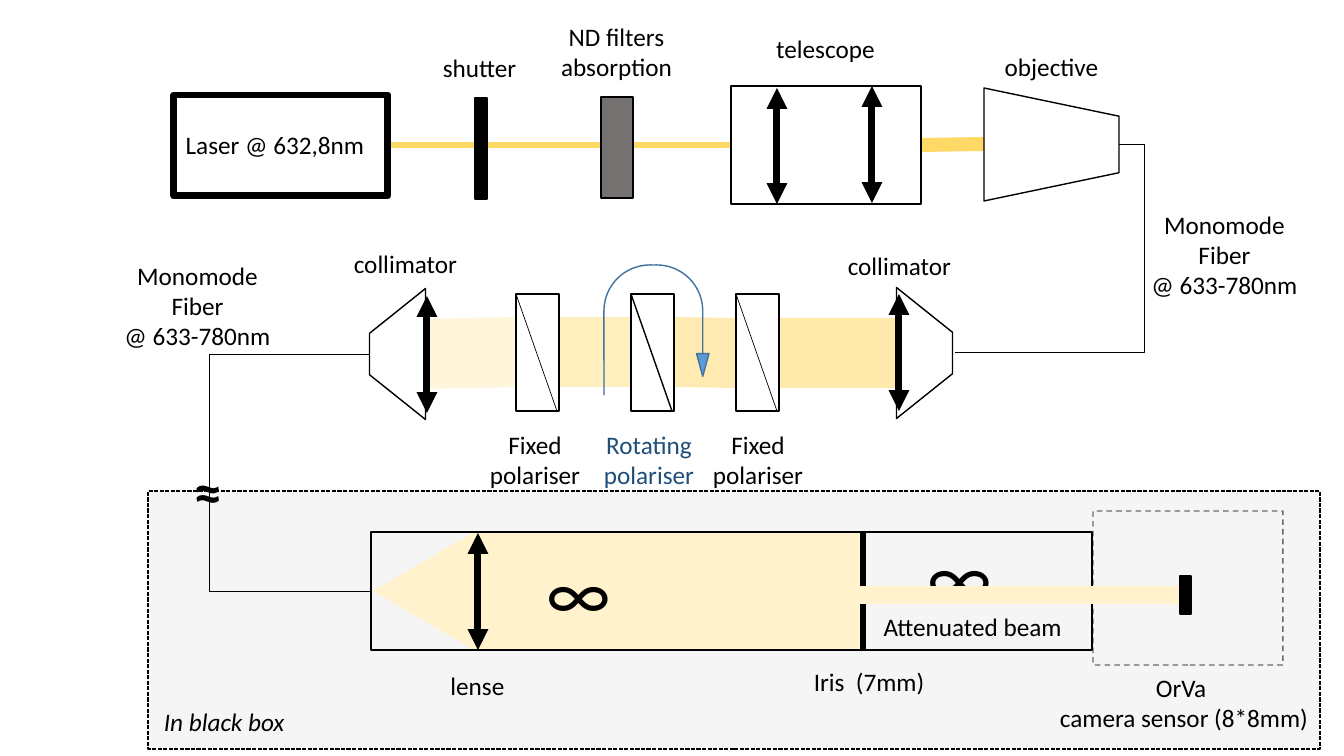
import pptx
import pptx.util
import pptx.dml.color
import pptx.enum.dml
import pptx.enum.shapes
import pptx.enum.text
import pptx.oxml.ns
from lxml import etree

EMU_PER_PIXEL = 914400 / 100.8
COLOURS = {
    "black": "000000",
    "white": "FFFFFF",
    "grey": "767171",
    "laser": "FFD966",
    "pale": "FFF2CC",
    "blue": "5B9BD5",
    "blue edge": "43739E",
    "blue text": "1F4E79",
}
PRESET = pptx.enum.shapes.MSO_SHAPE
LINK = pptx.enum.shapes.MSO_CONNECTOR
DASH = pptx.enum.dml.MSO_LINE
ALIGN = pptx.enum.text.PP_ALIGN


def px(*lengths):
    return [round(length * EMU_PER_PIXEL) for length in lengths]


def add_xml(parent, tag, **values):
    child = etree.SubElement(parent, pptx.oxml.ns.qn(tag))
    for name, value in values.items():
        child.set(name, str(value))
    return child


def paint(fill, colour, opacity=100):
    """Fill with a named colour, or with nothing."""
    if colour is None:
        fill.background()
        return
    fill.solid()
    fill.fore_color.rgb = pptx.dml.color.RGBColor.from_string(COLOURS[colour])
    if opacity < 100:
        for node in fill._xPr.iter(pptx.oxml.ns.qn("a:srgbClr")):
            add_xml(node, "a:alpha", val=opacity * 1000)


def outline(item, colour, width, dash=None, opacity=100):
    item.line.width = pptx.util.Pt(width)
    paint(item.line.fill, colour, opacity)
    if dash:
        item.line.dash_style = dash


def add_block(shapes, area, fill=None, edge="black", width=1, preset=PRESET.RECTANGLE,
              opacity=100, dash=None, edge_opacity=100, rotation=0, adjust=()):
    block = shapes.add_shape(preset, *px(*area))
    block.shadow.inherit = False
    block.rotation = rotation
    for index, value in enumerate(adjust):
        block.adjustments[index] = value
    paint(block.fill, fill, opacity)
    outline(block, edge, width, dash, edge_opacity)


def add_line(shapes, start, end, colour="black", width=1, opacity=100, kind=LINK.STRAIGHT):
    line = shapes.add_connector(kind, *px(*start, *end))
    outline(line, colour, width, opacity=opacity)
    add_xml(line._element.spPr, "a:effectLst")
    return line


def add_lens(shapes, x, top, bottom):
    """A thin lens: a thick line with an arrowhead at both ends."""
    lens = add_line(shapes, (x, top), (x, bottom), width=5)
    for tag in ("a:headEnd", "a:tailEnd"):
        add_xml(lens.line._get_or_add_ln(), tag, type="triangle")


def add_fiber(shapes, start, end, turn):
    """An elbow that runs sideways to x = turn before it comes back."""
    fiber = add_line(shapes, start, end, width=0.5, kind=LINK.ELBOW)
    bend = round((turn - start[0]) / (end[0] - start[0]) * 100000)
    guides = fiber._element.spPr.find(".//" + pptx.oxml.ns.qn("a:avLst"))
    add_xml(guides, "a:gd", name="adj1", fmla=f"val {bend}")


def add_polariser(shapes, x, slant_width):
    parts = shapes.add_group_shape().shapes
    add_block(parts, (x, 294, 43, 117))
    add_line(parts, (x, 294), (x + 41, 411), width=slant_width)


def add_label(shapes, area, text, align=ALIGN.CENTER, colour="black", size=18, **styles):
    box = shapes.add_textbox(*px(*area))
    box.text_frame.word_wrap = True
    styles = {"name": "Calibri", "size": pptx.util.Pt(size), **styles}
    for index, words in enumerate(text.split("\n")):
        para = box.text_frame.paragraphs[0] if index == 0 else box.text_frame.add_paragraph()
        para.alignment = align
        span = para.add_run()
        span.text = words
        for name, value in styles.items():
            setattr(span.font, name, value)
        paint(span.font.fill, colour)


def draw_beams(shapes):
    for start, end, opacity in (
        ((674, 352), (736, 353), 50),
        ((559, 352), (631, 352), 42),
        ((425, 354), (516, 352), 24),
        ((779, 353), (896, 353), 55),
    ):
        add_line(shapes, start, end, "laser", 50, opacity)
    add_line(shapes, (388, 145), (731, 145), "laser", 4)
    add_line(shapes, (920, 145), (984, 144), "laser", 10)


def draw_source_row(shapes):
    add_block(shapes, (174, 95, 214, 101), width=5)
    add_label(shapes, (168, 124, 214, 40), "Laser @ 632,8nm")
    add_block(shapes, (475, 98, 12, 101), "black")
    add_block(shapes, (601, 97, 32, 101), "grey")
    add_label(shapes, (549, 16, 135, 72), "ND filters absorption")
    add_block(shapes, (731, 86, 190, 118), "white")
    add_lens(shapes, 777, 88, 204)
    add_lens(shapes, 872, 86, 203)
    add_block(shapes, (995, 77, 113, 135), preset=PRESET.TRAPEZOID, rotation=90)
    for x, y, text in ((412, 47, "shutter"), (758, 28, "telescope"), (984, 46, "objective")):
        add_label(shapes, (x, y, 135, 40), text)


def draw_polariser_row(shapes):
    add_fiber(shapes, (1119, 144), (955, 352), 1144)
    # Collimators and fiber names
    for lens_x, lens_top, body_x, body_y, turn, name_x, name_y in (
        (899, 294, 859, 325, 90, 832, 245),
        (427, 296, 332, 326, 270, 338, 243),
    ):
        add_lens(shapes, lens_x, lens_top, lens_top + 117)
        add_block(shapes, (body_x, body_y, 131, 56), preset=PRESET.TRAPEZOID,
                  rotation=turn, adjust=(0.8,))
        add_label(shapes, (name_x, name_y, 135, 40), "collimator")
    for x, y in ((1136, 204), (109, 255)):
        add_label(shapes, (x, y, 177, 102), "Monomode\nFiber\n@ 633-780nm")
    # Polarisers
    for x, slant_width, name_x, text, colour in (
        (736, 0.5, 695, "Fixed polariser", "black"),
        (631, 1, 586, "Rotating\npolariser", "blue text"),
        (516, 0.5, 472, "Fixed polariser", "black"),
    ):
        add_polariser(shapes, x, slant_width)
        add_label(shapes, (name_x, 424, 126, 72), text, colour=colour)
    add_block(shapes, (604, 265, 105, 130), "blue", "blue edge", preset=PRESET.U_TURN_ARROW,
              adjust=(0, 0.059, 0.217, 0.438, 0.857))


def draw_black_box(shapes):
    add_fiber(shapes, (371, 591), (369, 354), 208)
    # Tube with lens and iris
    add_block(shapes, (366, 541, 117, 100), "pale", "pale",
              preset=PRESET.ISOSCELES_TRIANGLE, rotation=270)
    add_block(shapes, (371, 532, 721, 118))
    add_lens(shapes, 478, 533, 650)
    add_label(shapes, (410, 665, 135, 40), "lense")
    add_line(shapes, (863, 532), (863, 650), width=4.25)
    for area in ((537, 540, 100, 102), (918, 524, 140, 102)):
        add_label(shapes, area, "∞", ALIGN.LEFT, size=54)
    add_label(shapes, (791, 661, 162, 40), "Iris  (7mm) ")
    add_label(shapes, (842, 606, 267, 41), "Attenuated beam ")
    # Camera
    add_block(shapes, (1093, 511, 190, 154), dash=DASH.DASH, edge_opacity=57)
    add_label(shapes, (1029, 667, 310, 72), "OrVa \ncamera sensor (8*8mm)")
    add_label(shapes, (154, 701, 179, 40), "In black box", ALIGN.LEFT, italic=True)
    add_label(shapes, (184, 452, 86, 78), "≈", ALIGN.LEFT, size=40, bold=True)
    add_block(shapes, (856, 587, 325, 16), "pale", "pale")
    add_block(shapes, (1180, 576, 11, 38), "black")


def main():
    deck = pptx.Presentation()
    deck.slide_width, deck.slide_height = px(1344, 756)
    page = deck.slides.add_slide(deck.slide_layouts[6])
    shapes = page.shapes
    # Black box and wide beam lie behind everything
    add_block(shapes, (148, 491, 1172, 258), "black", opacity=4, dash=DASH.SQUARE_DOT)
    add_block(shapes, (476, 533, 386, 116), "pale", "pale")
    draw_beams(shapes)
    draw_source_row(shapes)
    draw_polariser_row(shapes)
    draw_black_box(shapes)
    deck.save("out.pptx")


main()
